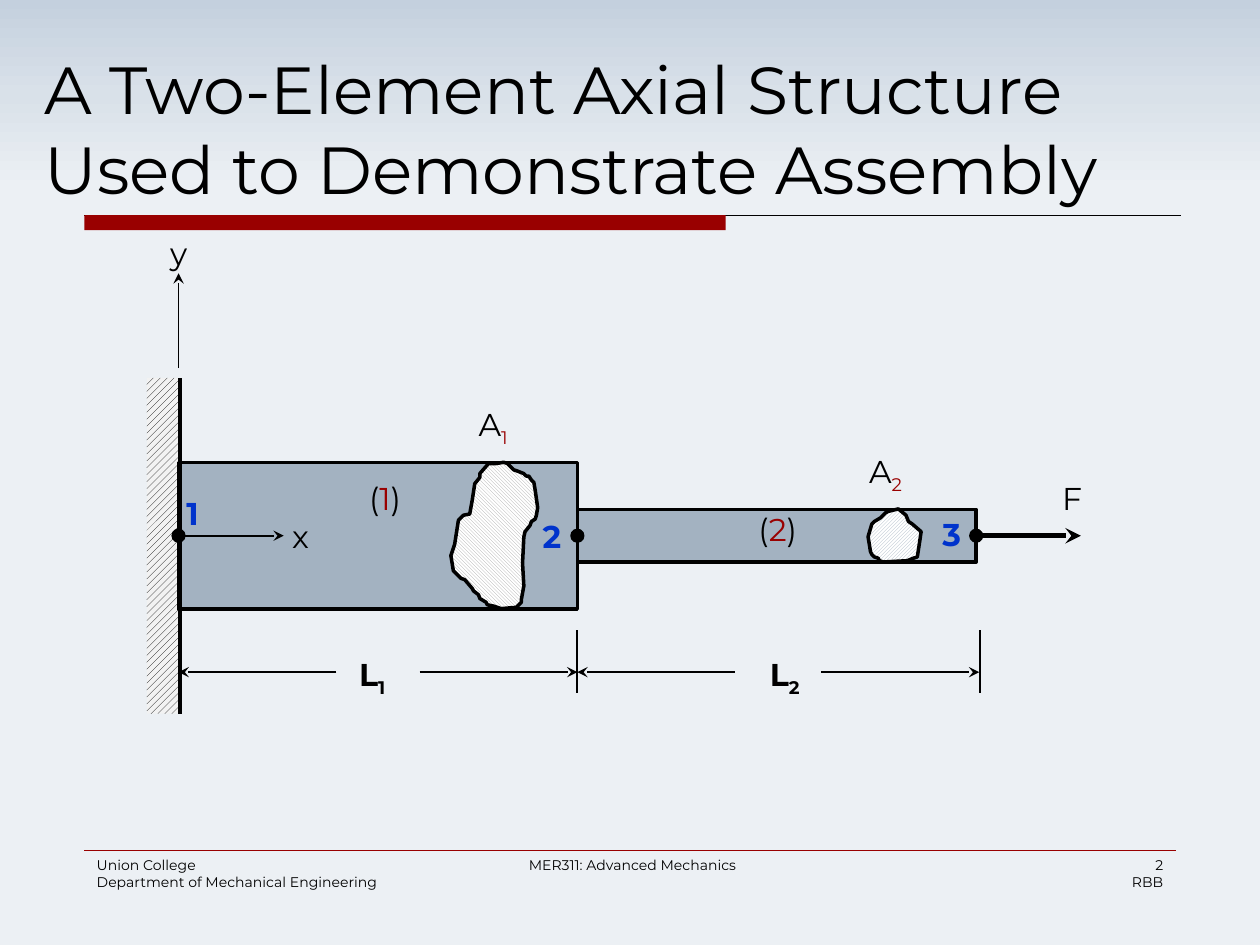
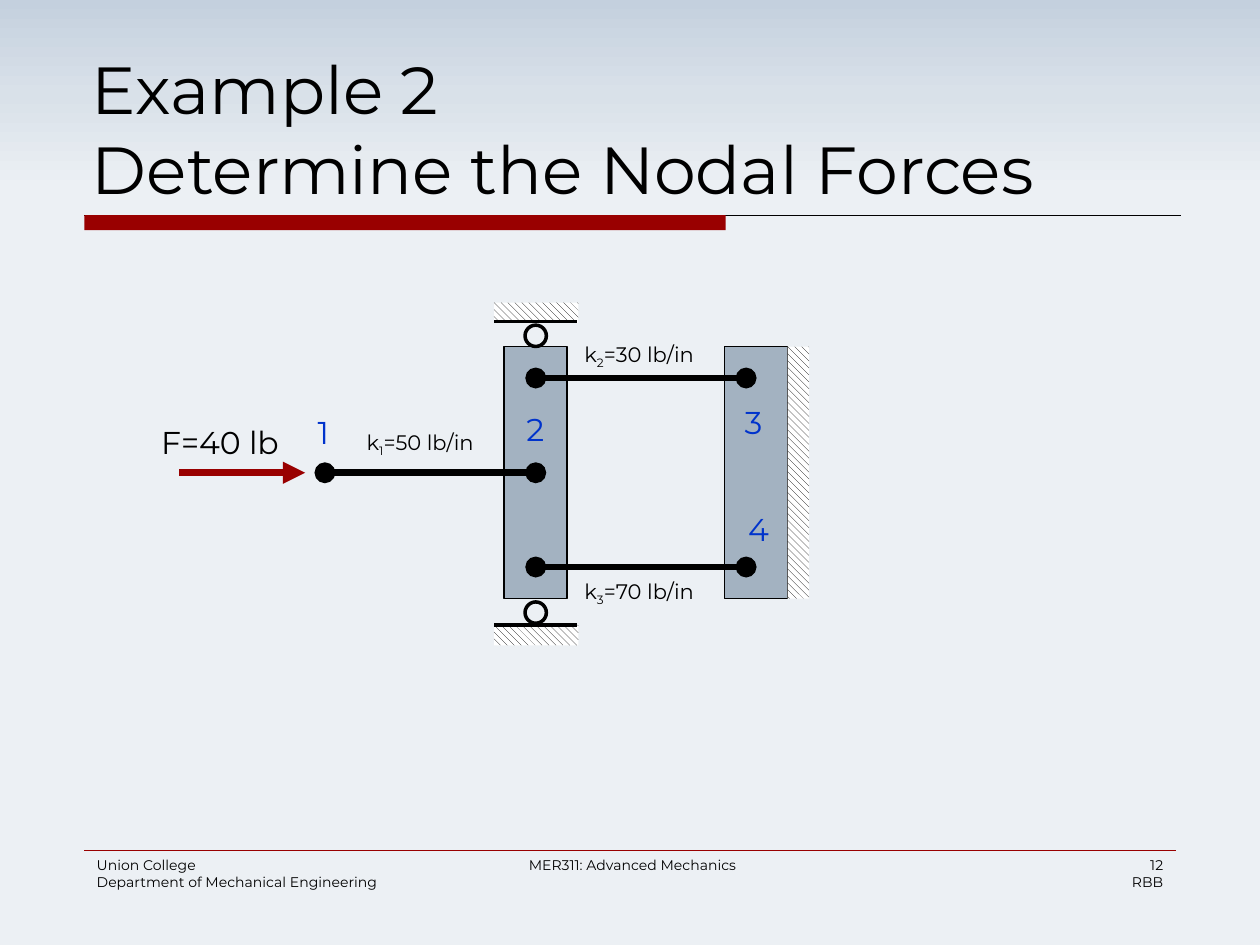
"""Build two slides on axial structures and spring assemblies."""
import copy
import dataclasses

import pptx
import pptx.dml.color
import pptx.enum.dml
import pptx.enum.shapes
import pptx.enum.text
import pptx.oxml
import pptx.oxml.ns
import pptx.util

Cm = pptx.util.Cm
Pt = pptx.util.Pt
RGB = pptx.dml.color.RGBColor.from_string
PATTERN = pptx.enum.dml.MSO_PATTERN
SHAPE = pptx.enum.shapes.MSO_SHAPE
ALIGN = pptx.enum.text.PP_ALIGN


@dataclasses.dataclass(frozen=True)
class Theme:
    """Colours, font and type sizes shared by all slides."""
    ink: str = "000000"
    accent: str = "990000"
    node: str = "0033CC"
    steel: str = "A3B2C1"
    grey: str = "A6A6A6"
    white: str = "FFFFFF"
    pale: str = "F2F2F2"
    sky: tuple = ((0, "C4D0DE"), (0.1, "D9E1E9"), (0.2, "ECF0F4"))
    font: str = "Montserrat"
    title: int = 38
    label: int = 18
    small: int = 12
    footer: int = 8


T = Theme()

SECTION_1 = (
    (30, 1), (23, 9), (23, 12), (19, 17), (17, 30), (15, 41), (10, 42), (6, 46),
    (3, 65), (0, 74), (2, 86), (8, 92), (11, 93), (17, 100), (18, 102), (22, 105),
    (23, 108), (28, 111), (29, 113), (34, 114), (40, 116), (52, 115), (56, 111),
    (56, 109), (58, 98), (57, 80), (58, 59), (59, 55), (63, 50), (64, 47), (67, 45),
    (68, 42), (69, 36), (67, 22), (66, 16), (64, 14), (62, 11), (60, 11), (58, 9),
    (53, 7), (50, 6), (45, 1), (42, 0), (36, 1))
SECTION_2 = (
    (24, 0), (16, 2), (14, 3), (10, 7), (5, 10), (3, 12), (0, 22), (2, 34), (3, 36),
    (5, 38), (8, 39), (9, 41), (12, 42), (31, 41), (36, 39), (39, 38), (41, 25),
    (42, 18), (35, 12), (32, 10), (30, 5))


def style_font(font, size, color, bold=False):
    """Apply the theme font with a size and colour."""
    font.name, font.size, font.bold = T.font, Pt(size), bold
    font.color.rgb = RGB(color)


def style_shape(sp, fill, width):
    """Set fill (none, colour or pattern triple) and a black outline."""
    sp.shadow.inherit = False
    if fill is None:
        sp.fill.background()
    elif isinstance(fill, tuple):
        sp.fill.patterned()
        sp.fill.pattern = fill[0]
        sp.fill.fore_color.rgb, sp.fill.back_color.rgb = RGB(fill[1]), RGB(fill[2])
    else:
        sp.fill.solid()
        sp.fill.fore_color.rgb = RGB(fill)
    if width:
        sp.line.color.rgb, sp.line.width = RGB(T.ink), Pt(width)
    else:
        sp.line.fill.background()


def block(slide, kind, at, fill, width=0):
    """Add a preset shape at (left, top, width, height)."""
    sp = slide.shapes.add_shape(kind, *map(Cm, at))
    style_shape(sp, fill, width)
    return sp


def dot(slide, x, y, size, fill, width):
    """Add a circle centred on a point."""
    return block(slide, SHAPE.OVAL, (x - size / 2, y - size / 2, size, size), fill, width)


def outline(slide, at, points, fill):
    """Add a closed outline whose local grid is scaled to a box."""
    left, top, width, height = map(Cm, at)
    scale = (width / max(x for x, _ in points), height / max(y for _, y in points))
    fb = slide.shapes.build_freeform(*points[0], scale=scale)
    fb.add_line_segments(points[1:], close=True)
    style_shape(fb.convert_to_shape(left, top), fill, 2)


def line(slide, start, end, width=1.0, color=T.ink, head=None, tail=None):
    """Add a straight line with optional ends."""
    cx = slide.shapes.add_connector(
        pptx.enum.shapes.MSO_CONNECTOR.STRAIGHT, *map(Cm, (*start, *end)))
    cx.line.color.rgb, cx.line.width = RGB(color), Pt(width)
    ln = cx.line._get_or_add_ln()
    for tag, kind in (("a:headEnd", head), ("a:tailEnd", tail)):
        if kind:
            end_mark = pptx.oxml.ns.qn(tag)
            ln.append(ln.makeelement(end_mark, {"type": kind}))
    sp_pr = cx._element.spPr
    sp_pr.append(sp_pr.makeelement(pptx.oxml.ns.qn("a:effectLst"), {}))
    return cx


def label(slide, at, text, size=T.label, color=T.ink, bold=False, align=ALIGN.LEFT,
          wrap=True, mark_color=None, mark_sub=False):
    """Add text in which parts between underscores take the mark style."""
    sp = slide.shapes.add_textbox(*map(Cm, at))
    tf = sp.text_frame
    tf.word_wrap = wrap
    for i, row in enumerate(text.split("\n")):
        p = tf.add_paragraph() if i else tf.paragraphs[0]
        p.alignment = align
        style_font(p.font, size, color, bold)
        for j, part in enumerate(row.split("_")):
            r = p.add_run()
            r.text = part
            if j % 2 and mark_color:
                r.font.color.rgb = RGB(mark_color)
            if j % 2 and mark_sub:
                r.font._element.set("baseline", "-25000")
        for r in p.runs:
            if not r.text:
                p._p.remove(r._r)
    return sp


def paint_background(master):
    """Fade the master background from blue to pale grey."""
    fill = master.background.fill
    fill.gradient()
    fill.gradient_angle = 270
    stops = next(master._element.iter(pptx.oxml.ns.qn("a:gsLst")))
    stops.append(copy.deepcopy(stops[-1]))
    for stop, (position, color) in zip(fill.gradient_stops, T.sky):
        stop.position = position
        stop.color.rgb = RGB(color)


def furnish_layout(layout, slide):
    """Place the title rule and footer on the layout, built through a slide."""
    for ph in list(layout.placeholders):
        if ph.placeholder_format.idx:
            ph._element.getparent().remove(ph._element)
    left, rule_y, footer_y = 1.7, 4.34, 17.15
    parts = (
        line(slide, (left, rule_y), (23.8, rule_y), 0.75),
        block(slide, SHAPE.RECTANGLE, (left, rule_y, 12.93, 0.3), T.accent),
        line(slide, (left, footer_y), (23.7, footer_y), 0.25, T.accent),
        label(slide, (left, footer_y, 6.99, 1.27),
              "Union College\nDepartment of Mechanical Engineering", T.footer),
        label(slide, (9.68, footer_y, 6.15, 0.61), "MER311: Advanced Mechanics",
              T.footer, align=ALIGN.CENTER))
    for sp in parts:
        layout.shapes._spTree.append(sp._element)


def head_slide(slide, title, left, width, number):
    """Fill the title placeholder and add the page number."""
    sp = slide.shapes.title
    sp.left, sp.top, sp.width, sp.height = map(Cm, (left, 0.84, width, 3.38))
    tf = sp.text_frame
    tf.text = title
    tf.word_wrap = True
    tf.auto_size = pptx.enum.text.MSO_AUTO_SIZE.NONE
    tf.vertical_anchor = pptx.enum.text.MSO_ANCHOR.TOP
    tf.paragraphs[0].alignment = ALIGN.LEFT
    style_font(tf.paragraphs[0].font, T.title, T.ink)
    label(slide, (17.78, 17.15, 5.92, 1.02), f"{number}\nRBB", T.footer, align=ALIGN.RIGHT)


def draw_axial_structure(slide):
    """Draw a stepped bar fixed to a wall and pulled by a force."""
    wall_x, axis_y, length = 3.6, 10.8, 8.04
    nodes = [wall_x + i * length for i in range(3)]
    block(slide, SHAPE.RECTANGLE, (2.96, 7.62, 0.64, 6.77),
          (PATTERN.WIDE_UPWARD_DIAGONAL, T.ink, T.pale))
    for x, depth in zip(nodes, (2.96, 1.06)):
        block(slide, SHAPE.RECTANGLE, (x, axis_y - depth / 2, length, depth), T.steel, 2)
    for x in (nodes[1], 19.76):
        line(slide, (x, 12.7), (x, 13.97))
    line(slide, (wall_x, 7.42), (wall_x, 5.51), tail="stealth")
    line(slide, (wall_x, axis_y), (5.72, axis_y), tail="stealth")
    for x in nodes:
        dot(slide, x, axis_y, 0.26, T.ink, 0.75)
    for inner, outer in ((6.78, wall_x), (8.46, nodes[1]), (14.81, nodes[1]), (16.56, 19.74)):
        line(slide, (inner, 13.55), (outer, 13.55), tail="stealth")
    line(slide, (19.8, axis_y), (21.79, axis_y), 3, tail="stealth")
    line(slide, (3.63, 7.62), (3.63, 14.4), 2)
    outline(slide, (9.09, 9.32, 1.75, 2.95), SECTION_1,
            (PATTERN.LIGHT_DOWNWARD_DIAGONAL, T.grey, T.white))
    outline(slide, (17.5, 10.26, 1.07, 1.07), SECTION_2,
            (PATTERN.LIGHT_UPWARD_DIAGONAL, T.steel, T.white))
    for x, text in ((6.99, "L_1_"), (15.27, "L_2_")):
        label(slide, (x, 13.08, 1.47, 1.02), text, bold=True, mark_sub=True)
    for x, y, text in ((3.51, 9.83, "1"), (10.69, 10.29, "2"), (18.75, 10.26, "3")):
        label(slide, (x, y, 0.94, 1.02), text, color=T.node, bold=True, wrap=False)
    for x, y, text in ((7.19, 9.53, "(_1_)"), (15.04, 10.16, "(_2_)")):
        label(slide, (x, y, 1.47, 1.02), text, mark_color=T.accent)
    for x, y, text in ((9.4, 8.05, "A_1_"), (17.27, 8.99, "A_2_")):
        label(slide, (x, y, 1.3, 1.02), text, wrap=False, mark_color=T.accent, mark_sub=True)
    for x, y, text in ((21.16, 9.53, "F"), (5.64, 10.29, "x"), (3.18, 4.6, "y")):
        label(slide, (x, y, 0.92, 1.02), text, wrap=False)


def draw_spring_assembly(slide):
    """Draw three springs between a guided plate and a fixed plate."""
    hatch = (PATTERN.WIDE_DOWNWARD_DIAGONAL, T.ink, T.white)
    plate_x, axis_y = 10.8, 9.53
    for x in (10.16, 14.6):
        block(slide, SHAPE.RECTANGLE, (x, 6.99, 1.27, 5.08), T.steel, 0.75)
    block(slide, SHAPE.RECTANGLE, (15.88, 6.99, 0.43, 5.08), hatch)
    for hatch_y, ground_y, roller_y in ((6.1, 6.48, 6.77), (12.6, 12.6, 12.35)):
        dot(slide, plate_x, roller_y, 0.43, None, 2)
        block(slide, SHAPE.RECTANGLE, (9.96, hatch_y, 1.7, 0.41), hatch)
        line(slide, (9.96, ground_y), (11.63, ground_y), 2)
    for x, y in ((6.55, axis_y), (15.04, 7.62), (15.04, 11.43)):
        line(slide, (x, y), (plate_x, y), 4, head="oval", tail="oval")
    line(slide, (3.61, axis_y), (6.15, axis_y), 4.25, T.accent, tail="triangle")
    label(slide, (3, 8.41, 3.07, 1.02), "F=40 lb", wrap=False)
    for x, y, text in ((7.14, 8.53, "k_1_=50 lb/in"), (11.53, 6.76, "k_2_=30 lb/in"),
                       (11.53, 11.53, "k_3_=70 lb/in")):
        label(slide, (x, y, 3.02, 0.76), text, T.small, wrap=False, mark_sub=True)
    for x, y, text in ((6.1, 8.2, "1"), (10.36, 8.15, "2"), (14.76, 8, "3"), (14.83, 10.16, "4")):
        label(slide, (x, y, 0.84, 1.02), text, color=T.node, align=ALIGN.CENTER)


def main():
    """Build and save the presentation."""
    prs = pptx.Presentation()
    prs.slide_width, prs.slide_height = Cm(25.4), Cm(19.05)
    layout = prs.slide_layouts[5]
    paint_background(prs.slide_master)
    axial, springs = (prs.slides.add_slide(layout) for _ in range(2))
    furnish_layout(layout, axial)
    head_slide(axial, "A Two-Element Axial Structure Used to Demonstrate Assembly",
               0.64, 24.13, 2)
    draw_axial_structure(axial)
    head_slide(springs, "Example 2\vDetermine the Nodal Forces", 1.6, 22.23, 12)
    draw_spring_assembly(springs)
    prs.save("out.pptx")


main()
